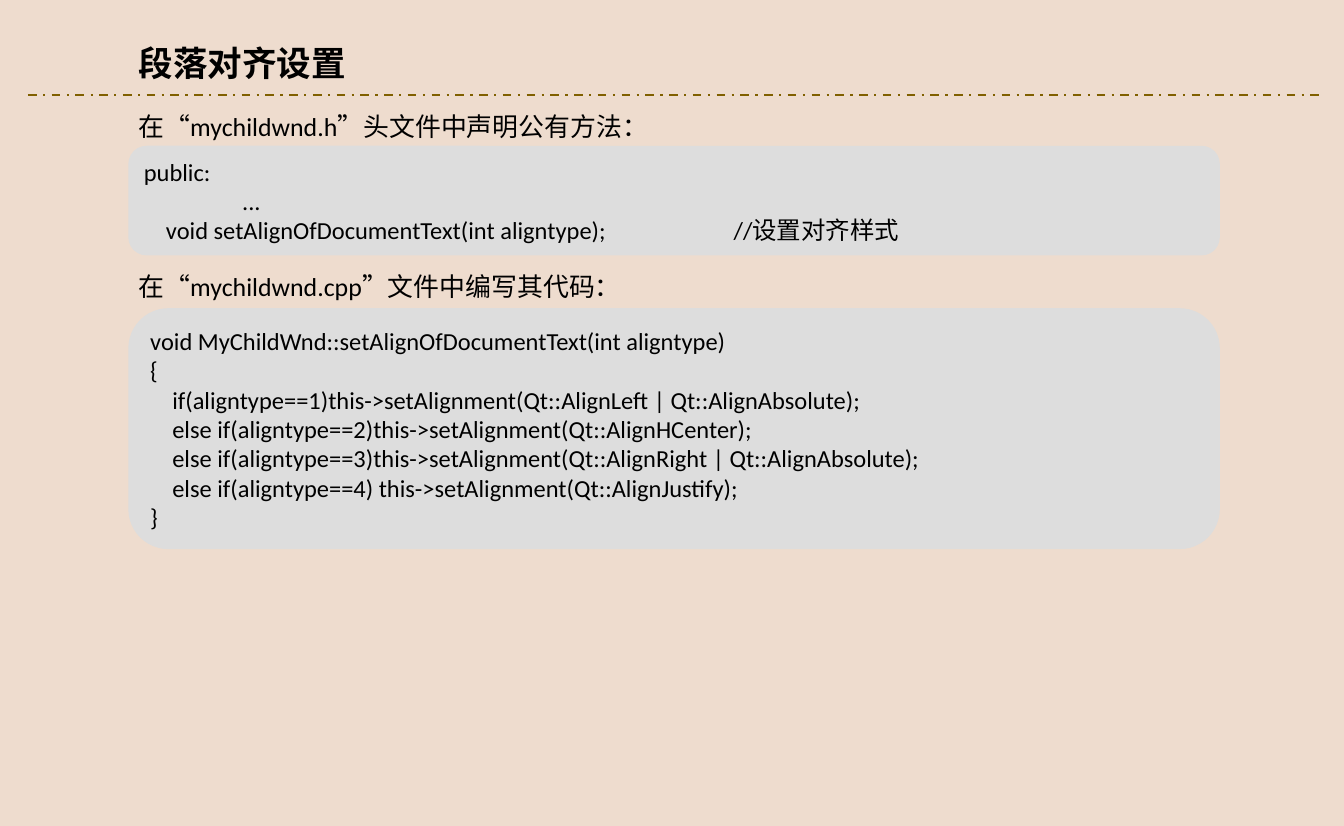
from dataclasses import dataclass
from lxml import etree
from pptx import Presentation
from pptx import util as u
from pptx.dml.color import RGBColor
from pptx.enum import dml, shapes, text
from pptx.oxml.ns import qn

# Content
TITLE = "段落对齐设置"
# caption, caption top, caption width, code top, code height, code lines
SECTIONS = [
    ("在“mychildwnd.h”头文件中声明公有方法：", 1.02, 5.18, 1.41, 1.06, [
        "public:",
        "\t...",
        "    void setAlignOfDocumentText(int aligntype);\t\t//设置对齐样式",
    ]),
    ("在“mychildwnd.cpp”文件中编写其代码：", 2.57, 4.91, 2.98, 2.33, [
        "void MyChildWnd::setAlignOfDocumentText(int aligntype)",
        "{",
        "    if(aligntype==1)this->setAlignment(Qt::AlignLeft | Qt::AlignAbsolute);",
        "    else if(aligntype==2)this->setAlignment(Qt::AlignHCenter);",
        "    else if(aligntype==3)this->setAlignment(Qt::AlignRight | Qt::AlignAbsolute);",
        "    else if(aligntype==4) this->setAlignment(Qt::AlignJustify);",
        "}",
    ]),
]


@dataclass(frozen=True)
class Theme:
    font: str = "Calibri"
    ink: RGBColor = RGBColor(0, 0, 0)
    back: RGBColor = RGBColor(0xEE, 0xDC, 0xCE)
    panel: RGBColor = RGBColor(0xDD, 0xDD, 0xDD)
    rule: RGBColor = RGBColor(0x80, 0x60, 0x00)
    title: int = 24
    caption: int = 18
    code: int = 17


T = Theme()
LEFT, CODE_WIDTH = 1.24, 10.55
TAB_STEP = 0.95
TAB_STOPS = [TAB_STEP * n for n in range(1, 7)]


def write(sp, lines, size, bold=False, wrap=False, tabs=()):
    tf = sp.text_frame
    tf.word_wrap = wrap
    tf.auto_size = text.MSO_AUTO_SIZE.NONE
    tf.vertical_anchor = text.MSO_ANCHOR.MIDDLE
    for i, line in enumerate(lines):
        p = tf.paragraphs[0] if i == 0 else tf.add_paragraph()
        p.alignment = text.PP_ALIGN.LEFT
        if tabs and "\t" in line:
            tab_list = etree.SubElement(p._p.get_or_add_pPr(), qn("a:tabLst"))
            for stop in tabs:
                etree.SubElement(tab_list, qn("a:tab"), pos=str(u.Inches(stop)), algn="l")
        r = p.add_run()
        r.text = line
        r.font.name, r.font.size, r.font.bold = T.font, u.Pt(size), bold
        r.font.color.rgb = T.ink


prs = Presentation()
prs.slide_width, prs.slide_height = u.Inches(12.99), u.Pt(575)
s = prs.slides.add_slide(prs.slide_layouts[5])
s.background.fill.solid()
s.background.fill.fore_color.rgb = T.back

# Rule under the title
rule = s.shapes.add_connector(shapes.MSO_CONNECTOR.STRAIGHT, u.Inches(0.27), u.Inches(0.92),
                              u.Inches(12.79), u.Inches(0.92))
rule.line.color.rgb = T.rule
rule.line.width = u.Pt(1.5)
rule.line.dash_style = dml.MSO_LINE.DASH_DOT
etree.SubElement(rule._element.spPr, qn("a:effectLst"))

# Title
title = s.shapes.title
title.left, title.top = u.Inches(LEFT), u.Inches(0.36)
title.width, title.height = u.Inches(2.22), u.Inches(0.5)
write(title, [TITLE], T.title, bold=True)

# Captions and code panels
for caption, cap_top, cap_width, code_top, code_height, code in SECTIONS:
    box = s.shapes.add_textbox(u.Inches(LEFT), u.Inches(cap_top), u.Inches(cap_width), u.Inches(0.4))
    write(box, [caption], T.caption)

    panel = s.shapes.add_shape(shapes.MSO_SHAPE.ROUNDED_RECTANGLE, u.Inches(LEFT), u.Inches(code_top),
                               u.Inches(CODE_WIDTH), u.Inches(code_height))
    panel.shadow.inherit = False
    panel.fill.solid()
    panel.fill.fore_color.rgb = T.panel
    panel.line.fill.background()
    write(panel, code, T.code, wrap=True, tabs=TAB_STOPS)

prs.save("out.pptx")
